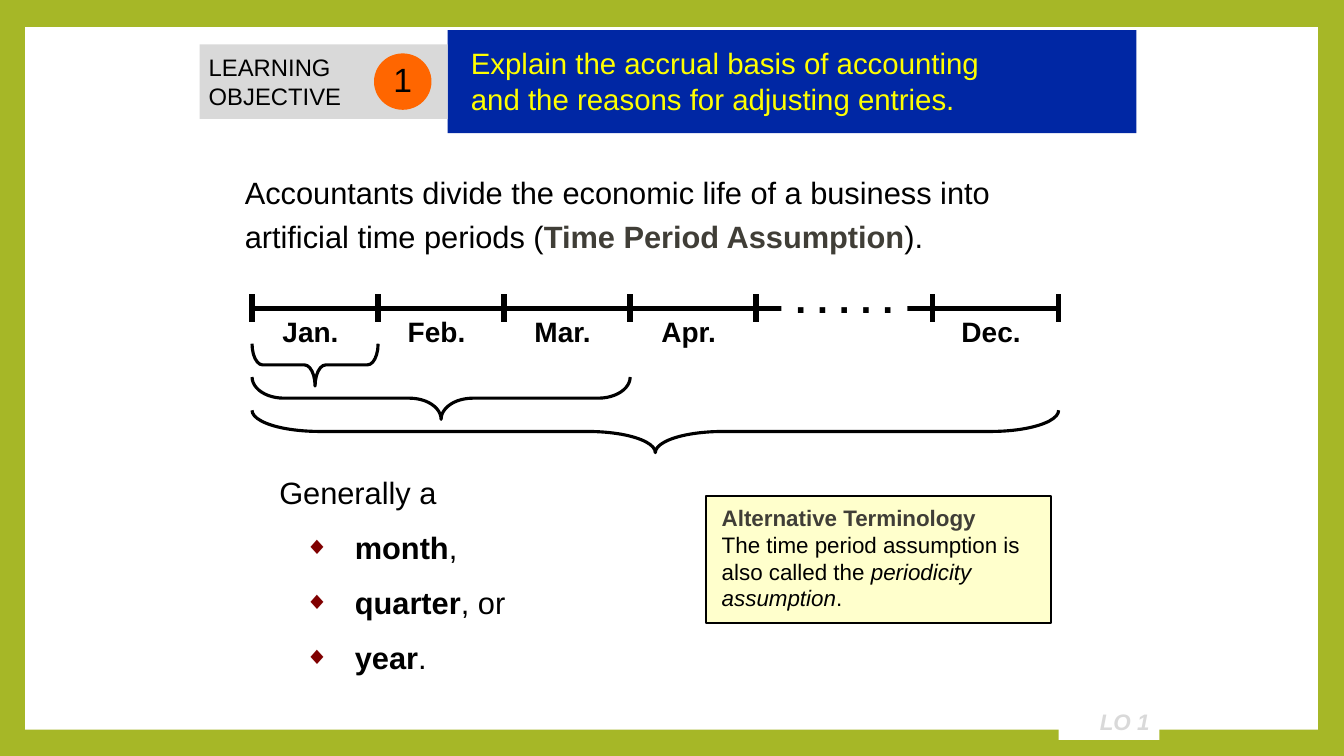
from lxml import etree
from pptx import Presentation
from pptx.dml.color import RGBColor
from pptx.enum.shapes import MSO_CONNECTOR, MSO_SHAPE
from pptx.enum.text import MSO_ANCHOR, MSO_AUTO_SIZE, PP_ALIGN
from pptx.oxml.ns import qn
from pptx.util import Inches, Pt

RECT, OVAL, BRACE = MSO_SHAPE.RECTANGLE, MSO_SHAPE.OVAL, MSO_SHAPE.LEFT_BRACE
STRAIGHT = MSO_CONNECTOR.STRAIGHT
LEFT, CENTER, RIGHT = PP_ALIGN.LEFT, PP_ALIGN.CENTER, PP_ALIGN.RIGHT
TOP, MIDDLE = MSO_ANCHOR.TOP, MSO_ANCHOR.MIDDLE
NO_FIT = MSO_AUTO_SIZE.NONE
BLACK, WHITE, TERM = "000000", "FFFFFF", "403E37"


def color(hex_string):
    """Turn a hex string into a colour."""
    return RGBColor.from_string(hex_string)


def set_bullet(paragraph, bullet):
    """Give a paragraph a dark red bullet character, or none."""
    properties = paragraph._p.get_or_add_pPr()
    if not bullet:
        etree.SubElement(properties, qn("a:buNone"))
        return
    tint = etree.SubElement(properties, qn("a:buClr"))
    etree.SubElement(tint, qn("a:srgbClr"), val="800000")
    etree.SubElement(properties, qn("a:buSzPct"), val="80000")
    etree.SubElement(properties, qn("a:buFont"), typeface="Arial")
    etree.SubElement(properties, qn("a:buChar"), char=bullet)


def write(shape, paragraphs, size, ink=BLACK, bold=False, italic=False, align=LEFT,
          anchor=TOP, insets=(0.1, 0.05, 0.1, 0.05), wrap=True, spacing=1.0,
          before=0, margin=0, bullet=None):
    """Fill a shape with paragraphs, each a list of (text, format changes) runs."""
    frame = shape.text_frame
    frame.auto_size, frame.word_wrap, frame.vertical_anchor = NO_FIT, wrap, anchor
    (frame.margin_left, frame.margin_top,
     frame.margin_right, frame.margin_bottom) = map(Inches, insets)
    for index, runs in enumerate(paragraphs):
        paragraph = frame.paragraphs[0] if index == 0 else frame.add_paragraph()
        marked = bullet if index else None
        properties = paragraph._p.get_or_add_pPr()
        properties.set("marL", str(Inches(0.75 if marked else margin)))
        properties.set("indent", str(Inches(-0.5 if marked else 0)))
        set_bullet(paragraph, marked)
        paragraph.level = 1 if marked else 0
        paragraph.alignment = align
        paragraph.line_spacing = spacing
        paragraph.space_before = Pt(before if index else 0)
        for text, changes in runs:
            run = paragraph.add_run()
            run.text = text
            run.font.name, run.font.size = "Arial", Pt(size)
            run.font.bold = changes.get("bold", bold)
            run.font.italic = changes.get("italic", italic)
            run.font.color.rgb = color(changes.get("ink", ink))


def place(shape, left, top, width, height):
    """Move and size a placeholder."""
    shape.left, shape.top = Inches(left), Inches(top)
    shape.width, shape.height = Inches(width), Inches(height)


def add_block(slide, kind, left, top, width, height, fill=None, line=None, weight=1.5):
    """Add a flat preset shape."""
    block = slide.shapes.add_shape(
        kind, Inches(left), Inches(top), Inches(width), Inches(height))
    block.shadow.inherit = False
    if fill:
        block.fill.solid()
        block.fill.fore_color.rgb = color(fill)
    else:
        block.fill.background()
    if line:
        block.line.color.rgb = color(line)
        block.line.width = Pt(weight)
    else:
        block.line.fill.background()
    return block


def add_label(slide, left, top, width, height, paragraphs, **style):
    """Add a text box."""
    label = slide.shapes.add_textbox(
        Inches(left), Inches(top), Inches(width), Inches(height))
    write(label, paragraphs, **style)


def add_rule(slide, x1, y1, x2, y2):
    """Add a thick black line without shadow."""
    rule = slide.shapes.add_connector(
        STRAIGHT, Inches(x1), Inches(y1), Inches(x2), Inches(y2))
    rule.line.color.rgb = color(BLACK)
    rule.line.width = Pt(4)
    etree.SubElement(rule._element.spPr, qn("a:effectLst"))


def add_page(slide):
    """Set the green background with the white page behind everything."""
    slide.background.fill.solid()
    slide.background.fill.fore_color.rgb = color("A6B727")
    page = add_block(slide, RECT, 0.25, 0.27, 12.82, 6.97, WHITE)
    slide.shapes._spTree.insert(2, page._element)


def add_objective(slide, left, top):
    """Place the learning objective tag, its number and the title banner."""
    tag = add_block(slide, RECT, left, top + 0.14, 2.46, 0.74, "D9D9D9")
    write(tag, [[("LEARNING", {})], [("OBJECTIVE", {})]], size=17, anchor=MIDDLE,
          insets=(0.09, 0.05, 0.09, 0.05))
    number = add_block(slide, OVAL, left + 1.73, top + 0.23, 0.57, 0.56, "FF6600")
    write(number, [[("1", {})]], size=24, align=CENTER, anchor=MIDDLE,
          insets=(0.09, 0, 0.09, 0.05))
    banner = slide.shapes.title
    place(banner, left + 2.46, top, 6.83, 1.02)
    banner.fill.solid()
    banner.fill.fore_color.rgb = color("0027A4")
    write(banner, [[("Explain the accrual basis of accounting", {})],
                   [("and the reasons for adjusting entries.", {})]],
          size=21, ink="FFFF00", anchor=MIDDLE, margin=0.13,
          insets=(0.1, 0.03, 0.1, 0.05))


def add_timeline(slide, left, top, month_width=1.25, span=8):
    """Draw the year axis with ticks, months, the gap and the period braces."""
    axis = top + 0.14
    add_rule(slide, left, axis, left + span, axis)
    gap = add_block(slide, RECT, left + 5.25, top, 1.25, 0.33, WHITE)
    write(gap, [[(". . . . .", {})]], size=28, bold=True, align=CENTER,
          anchor=MIDDLE, wrap=False, spacing=0.15)
    starts = [left + month_width * month for month in range(4)]
    december = left + span - month_width
    for tick in starts + [starts[-1] + month_width, december, left + span]:
        add_rule(slide, tick, top, tick, top + 0.27)
    for name, start in zip(("Jan.", "Feb.", "Mar.", "Apr.", "Dec."), starts + [december]):
        add_label(slide, start + 0.08, top + 0.15, 1, 0.43, [[(name, {})]],
                  size=20, bold=True, align=CENTER)
    depth = 0.42
    for row, length in enumerate((month_width, 3 * month_width, span)):
        middle = top + 0.7 + 0.33 * row
        brace = add_block(slide, BRACE, left + (length - depth) / 2, middle - length / 2,
                          depth, length, line=BLACK, weight=2.25)
        brace.rotation = 270
        brace.adjustments[0] = length / 5


def add_periods(slide, left, top):
    """Fill the body with the list of usual periods."""
    periods = slide.placeholders[1]
    place(periods, left, top, 4.08, 2.21)
    strong = {"bold": True}
    write(periods, [[("Generally a", {})],
                    [("month", strong), (",", {})],
                    [("quarter", strong), (", or", {})],
                    [("year", strong), (".", {})]],
          size=22, spacing=1.2, before=7.6, bullet="◆")


def add_terminology(slide, left, top):
    """Place the alternative terminology note."""
    note = add_block(slide, RECT, left, top, 3.42, 1.26, "FFFFCC", BLACK)
    write(note, [[("Alternative Terminology", {"ink": TERM, "bold": True})],
                 [("The time period assumption is also called the ", {}),
                  ("periodicity assumption", {"italic": True}), (".", {})]],
          size=16, margin=0.06, insets=(0.1, 0.08, 0.1, 0.1))


def main():
    """Build the slide and save it."""
    deck = Presentation()
    deck.slide_width, deck.slide_height = Inches(13.33), Inches(7.5)
    slide = deck.slides.add_slide(deck.slide_layouts[1])
    add_page(slide)
    add_objective(slide, 1.98, 0.3)
    add_label(slide, 2.33, 1.6, 8.5, 0.99,
              [[("Accountants divide the economic life of a business into "
                 "artificial time periods (", {}),
                ("Time Period Assumption", {"ink": TERM, "bold": True}), (").", {})]],
              size=22, spacing=1.2)
    add_timeline(slide, 2.5, 2.92)
    add_periods(slide, 2.67, 4.58)
    add_terminology(slide, 7, 4.92)
    marker = add_block(slide, RECT, 10.5, 6.97, 1, 0.37, WHITE)
    write(marker, [[("LO 1", {})]], size=16, ink="D9D9D9", bold=True, italic=True,
          align=RIGHT, anchor=MIDDLE)
    deck.save("out.pptx")


if __name__ == "__main__":
    main()
